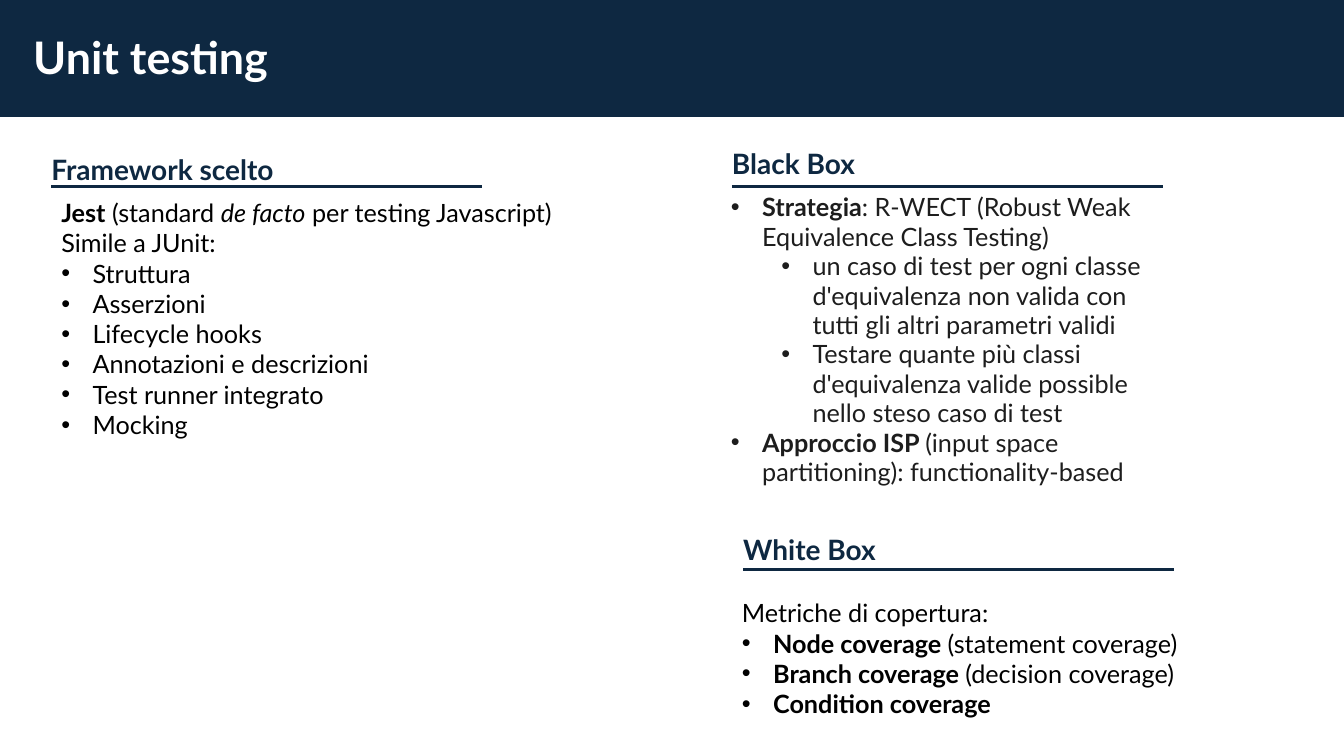
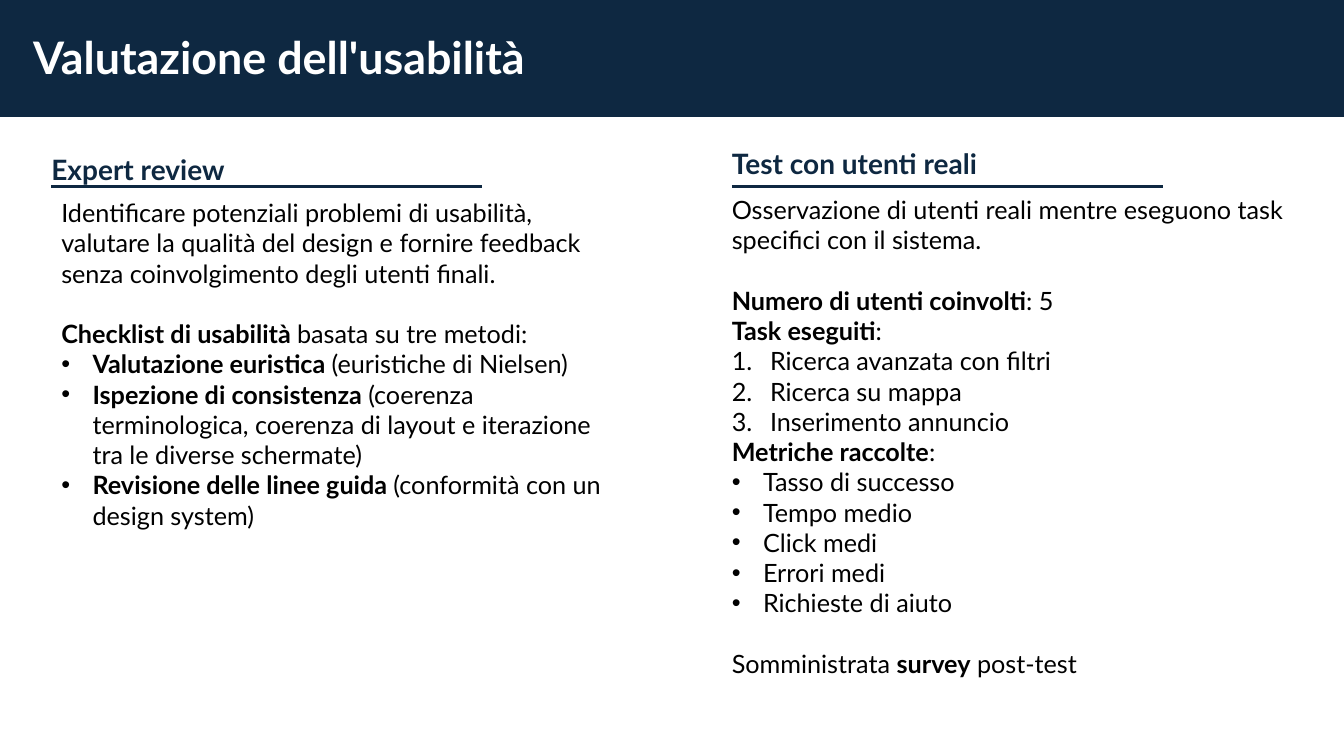
import pptx
import pptx.util
import pptx.dml.color
import pptx.enum.shapes
import pptx.oxml.ns
import lxml.etree

Inches = pptx.util.Inches
Pt = pptx.util.Pt
qn = pptx.oxml.ns.qn


class Deck:
    font = "Lato"
    hues = {"navy": "0E2841", "white": "FFFFFF", "black": "000000", "ink": "1D1D1D"}
    marks = {
        "": None,
        "gap": None,
        "•": (0, 0.31, 0.31),
        "••": (1, 0.81, 0.31),
        "1.": (0, 0.38, 0.38),
    }

    def __init__(self):
        self.prs = pptx.Presentation()
        self.prs.slide_width = Inches(13.33)
        self.prs.slide_height = Inches(7.5)
        self.slide = None

    def hue(self, name):
        return pptx.dml.color.RGBColor.from_string(self.hues[name])

    def style(self, run, size, hue, bold=False, slant=False):
        font = run.font
        font.name = self.font
        font.size = Pt(size)
        font.bold = bold
        font.italic = slant
        font.color.rgb = self.hue(hue)

    def frame(self, x, y, w, h, pads):
        box = self.slide.shapes.add_textbox(Inches(x), Inches(y), Inches(w), Inches(h))
        frame = box.text_frame
        frame.word_wrap = True
        left, top = (Inches(pad) for pad in pads)
        frame.margin_left, frame.margin_top = left, top
        frame.margin_right = frame.margin_bottom = top
        return frame

    def label(self, x, y, w, h, text, size, hue, pitch):
        frame = self.frame(x, y, w, h, (0, 0))
        frame.text = text
        para = frame.paragraphs[0]
        para.line_spacing = Pt(pitch)
        self.style(para.runs[0], size, hue, bold=True)

    def page(self, title):
        self.slide = self.prs.slides.add_slide(self.prs.slide_layouts[6])
        band = self.slide.shapes.add_shape(
            pptx.enum.shapes.MSO_SHAPE.RECTANGLE, 0, 0, self.prs.slide_width, Inches(1.16))
        band.shadow.inherit = False
        band.fill.solid()
        band.fill.fore_color.rgb = self.hue("navy")
        band.line.fill.background()
        self.label(0.33, 0.33, 6.47, 0.49, title, 32, "white", 35.6)

    def head(self, x, y, rule, text):
        wide = 4.27
        self.label(x, y, wide, 0.4, text, 20, "navy", 28.8)
        line = self.slide.shapes.add_connector(
            pptx.enum.shapes.MSO_CONNECTOR.STRAIGHT,
            Inches(x), Inches(rule), Inches(x + wide), Inches(rule))
        line.line.color.rgb = self.hue("navy")
        line.line.width = Pt(2.25)
        lxml.etree.SubElement(line._element.spPr, qn("a:effectLst"))

    def mark(self, para, kind):
        if not self.marks[kind]:
            return
        level, left, hang = self.marks[kind]
        para.level = level
        props = para._p.get_or_add_pPr()
        props.set("marL", str(Inches(left)))
        props.set("indent", str(-Inches(hang)))
        if kind == "1.":
            lxml.etree.SubElement(props, qn("a:buFont"), typeface="+mj-lt")
            lxml.etree.SubElement(props, qn("a:buAutoNum"), type="arabicPeriod")
        else:
            lxml.etree.SubElement(props, qn("a:buFont"), typeface="Arial")
            lxml.etree.SubElement(props, qn("a:buChar"), char="•")

    def body(self, x, y, w, h, items, hue="black", pads=(0.1, 0.05), pitch=None):
        frame = self.frame(x, y, w, h, pads)
        for index, (kind, text) in enumerate(items):
            para = frame.add_paragraph() if index else frame.paragraphs[0]
            self.mark(para, kind)
            if kind == "gap":
                para.space_before = Pt(21.6)
            if pitch:
                para.line_spacing = Pt(pitch)
            for turn, part in enumerate(text.split("*")):
                for tilt, piece in enumerate(part.split("_")):
                    if piece:
                        run = para.add_run()
                        run.text = piece
                        self.style(run, 18, hue, turn % 2 == 1, tilt % 2 == 1)


def main():
    deck = Deck()
    left, right, low = 0.51, 7.26, 7.37
    rule = 1.85

    deck.page("Unit testing")
    deck.head(left, 1.45, rule, "Framework scelto")
    deck.body(left, 1.91, 6.67, 2.52, [
        ("", "*Jest* (standard _de facto_ per testing Javascript)"),
        ("", "Simile a JUnit:"),
        ("•", "Struttura"),
        ("•", "Asserzioni"),
        ("•", "Lifecycle hooks"),
        ("•", "Annotazioni e descrizioni"),
        ("•", "Test runner integrato"),
        ("•", "Mocking"),
    ])
    deck.head(right, 1.39, rule, "Black Box")
    deck.body(7.17, 1.91, 4.45, 4.51, [
        ("•", "*Strategia*: R-WECT (Robust Weak Equivalence Class Testing)"),
        ("••", "un caso di test per ogni classe d'equivalenza non valida "
               "con tutti gli altri parametri validi"),
        ("••", "Testare quante più classi d'equivalenza valide possible "
               "nello steso caso di test"),
        ("•", "*Approccio ISP *(input space partitioning): functionality-based"),
    ], hue="ink", pads=(0.08, 0), pitch=21)
    deck.head(low, 5.22, 5.65, "White Box")
    deck.body(right, 5.88, 4.69, 1.31, [
        ("", "Metriche di copertura:"),
        ("•", "*Node coverage *(statement coverage)"),
        ("•", "*Branch coverage *(decision coverage)"),
        ("•", "*Condition coverage*"),
    ])

    deck.page("Valutazione dell'usabilità")
    deck.head(left, 1.45, rule, "Expert review")
    deck.body(left, 1.91, 5.67, 3.74, [
        ("", "Identificare potenziali problemi di usabilità, valutare la qualità "
             "del design e fornire feedback senza coinvolgimento degli utenti finali."),
        ("gap", "*Checklist di usabilità *basata su tre metodi:"),
        ("•", "*Valutazione euristica *(euristiche di Nielsen)"),
        ("•", "*Ispezione di consistenza *(coerenza terminologica, coerenza di layout "
              "e iterazione tra le diverse schermate)"),
        ("•", "*Revisione delle linee guida *(conformità con un design system)"),
    ])
    deck.head(right, 1.39, rule, "Test con utenti reali")
    deck.body(7.16, 1.88, 5.67, 4.95, [
        ("", "Osservazione di utenti reali mentre eseguono task specifici con il sistema."),
        ("gap", "*Numero di utenti coinvolti*: 5"),
        ("", "*Task eseguiti*:"),
        ("1.", "Ricerca avanzata con filtri"),
        ("1.", "Ricerca su mappa"),
        ("1.", "Inserimento annuncio"),
        ("", "*Metriche raccolte*:"),
        ("•", "Tasso di successo"),
        ("•", "Tempo medio"),
        ("•", "Click medi"),
        ("•", "Errori medi"),
        ("•", "Richieste di aiuto"),
        ("gap", "Somministrata *survey* post-test"),
    ])

    deck.prs.save("out.pptx")


if __name__ == "__main__":
    main()
